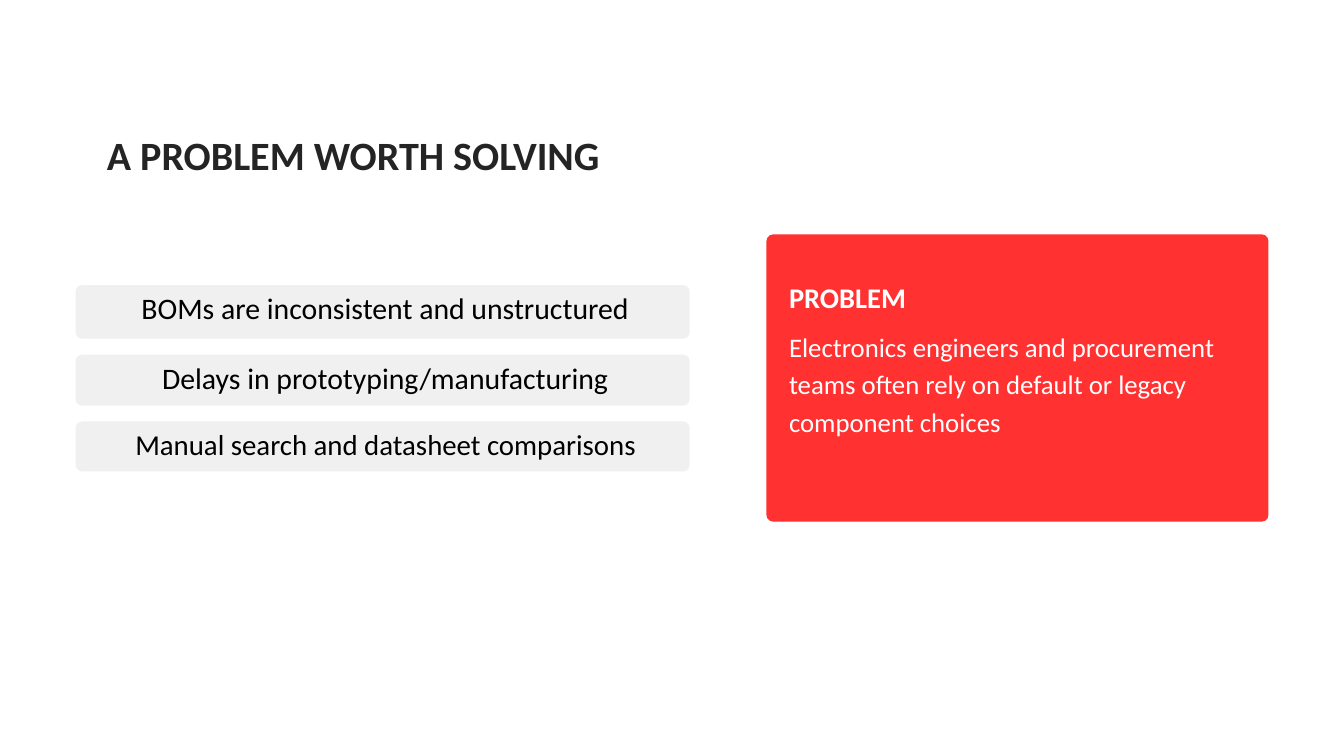
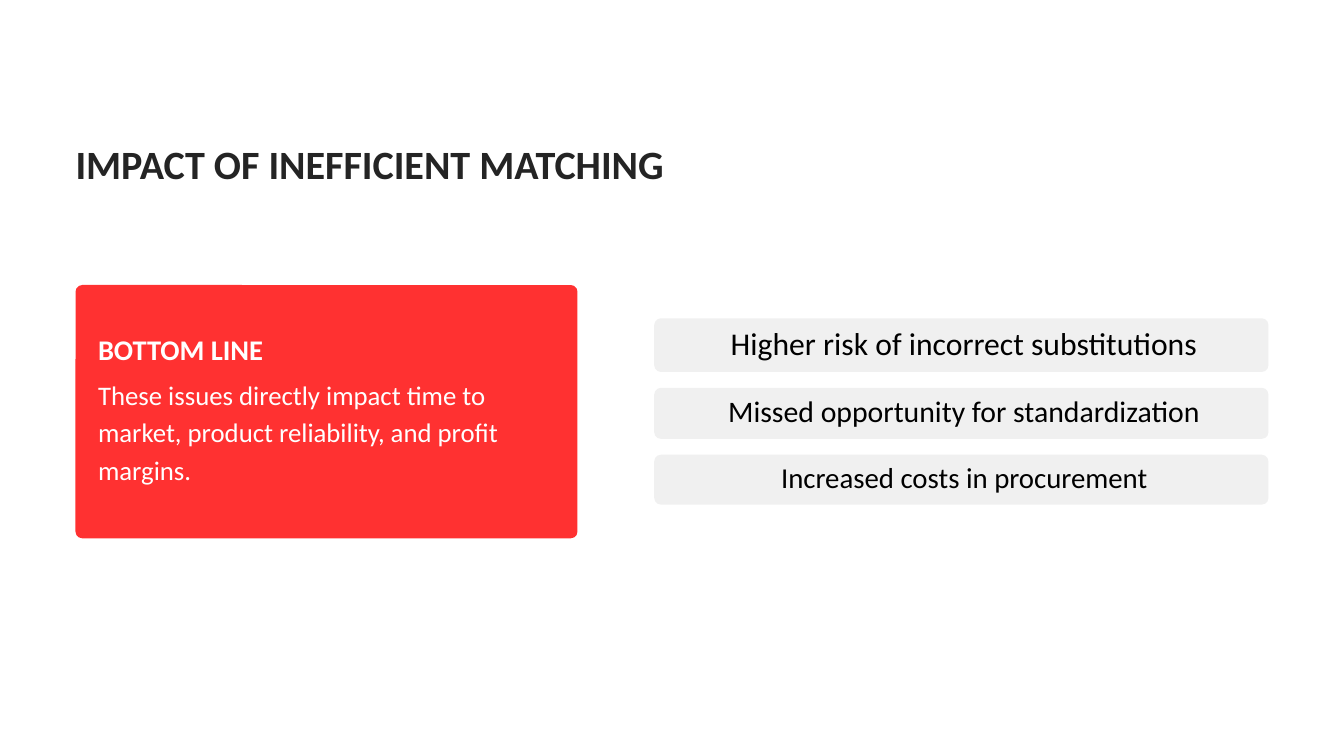
from pptx import Presentation
from pptx.dml.color import RGBColor
from pptx.enum.shapes import MSO_SHAPE
from pptx.enum.text import MSO_AUTO_SIZE, PP_ALIGN
from pptx.util import Inches, Pt

ROUNDED = MSO_SHAPE.ROUNDED_RECTANGLE
GROW = MSO_AUTO_SIZE.SHAPE_TO_FIT_TEXT
LEFT, CENTER = PP_ALIGN.LEFT, PP_ALIGN.CENTER

COLORS = {"title": "242424", "card": "FF3131", "card_text": "FFFFFF",
          "bar": "F0F0F0", "bar_text": "000000"}

deck = Presentation()
deck.slide_width, deck.slide_height = Inches(20), Inches(11.25)
COL, ROW = deck.slide_width / 100, deck.slide_height / 100

MARGIN = 5.62
CARD_WIDTH, CARD_INSET, CARD_TEXT_WIDTH = 37.35, 1.68, 34
BAR_WIDTH, BAR_INSET, BAR_TEXT_WIDTH = 45.7, 1.03, 44.05
BAR_HEIGHTS, BAR_GAP = (7.1, 6.75, 6.6), 2.1
CORNER = Inches(0.1)

FORMATS = {
    "title": {"size": Pt(43), "bold": True},
    "heading": {"size": Pt(30.5), "bold": True},
    "body": {"size": Pt(28.7), "bold": False},
}


def add_panel(slide, left, top, width, height, color):
    panel = slide.shapes.add_shape(ROUNDED, int(left * COL), int(top * ROW),
                                   int(width * COL), int(height * ROW))
    panel.shadow.inherit = False
    panel.adjustments[0] = CORNER / min(panel.width, panel.height)
    panel.fill.solid()
    panel.fill.fore_color.rgb = RGBColor.from_string(COLORS[color])
    panel.line.fill.background()


def add_text(slide, left, top, width, height, words, look, color, align=LEFT, leading=1.4):
    box = slide.shapes.add_textbox(int(left * COL), int(top * ROW),
                                   int(width * COL), int(height * ROW))
    frame = box.text_frame
    for side in ("left", "top", "right", "bottom"):
        setattr(frame, f"margin_{side}", 0)
    frame.word_wrap = True
    frame.auto_size = GROW
    paragraph = frame.paragraphs[0]
    paragraph.alignment = align
    paragraph.line_spacing = Pt(look["size"].pt * leading)
    run = paragraph.add_run()
    run.text = words
    for key, value in {"name": "Calibri", **look}.items():
        setattr(run.font, key, value)
    run.font.color.rgb = RGBColor.from_string(COLORS[color])


topics = [
    {
        "title": ("A PROBLEM WORTH SOLVING", 7.95, 18.5, 41.05),
        "card": (100 - MARGIN - CARD_WIDTH, 31, 38),
        "heading": ("PROBLEM", 5.25, 11.6),
        "body": ("Electronics engineers and procurement teams often rely on "
                 "default or legacy component choices", 12, 19.6),
        "bars": (MARGIN, 37.7),
        "points": [("BOMs are inconsistent and unstructured", 31.9),
                   ("Delays in prototyping/manufacturing", 31.9),
                   ("Manual search and datasheet comparisons", 30.9)],
    },
    {
        "title": ("IMPACT OF INEFFICIENT MATCHING", MARGIN, 19.65, 54.75),
        "card": (MARGIN, 37.7, 33.5),
        "heading": ("BOTTOM LINE", 5.5, 18.35),
        "body": ("These issues directly impact time to market, product "
                 "reliability, and profit margins.", 11.65, 14.75),
        "bars": (100 - MARGIN - BAR_WIDTH, 42.1),
        "points": [("Higher risk of incorrect substitutions", 33.9),
                   ("Missed opportunity for standardization", 31.9),
                   ("Increased costs in procurement", 30.9)],
    },
]

for topic in topics:
    slide = deck.slides.add_slide(deck.slide_layouts[6])

    title, left, top, width = topic["title"]
    add_text(slide, left, top, width, 11.65, title, FORMATS["title"], "title", leading=0.97)

    left, top, height = topic["card"]
    add_panel(slide, left, top, CARD_WIDTH, height, "card")
    heading, offset, width = topic["heading"]
    add_text(slide, left + CARD_INSET, top + offset, width, 5.6,
             heading, FORMATS["heading"], "card_text")
    body, offset, height = topic["body"]
    add_text(slide, left + CARD_INSET, top + offset, CARD_TEXT_WIDTH, height,
             body, FORMATS["body"], "card_text")

    left, top = topic["bars"]
    for (point, size), height in zip(topic["points"], BAR_HEIGHTS):
        add_panel(slide, left, top, BAR_WIDTH, height, "bar")
        add_text(slide, left + BAR_INSET, top - 0.12, BAR_TEXT_WIDTH, 5.85,
                 point, {"size": Pt(size), "bold": False}, "bar_text", CENTER)
        top += height + BAR_GAP

deck.save("out.pptx")
